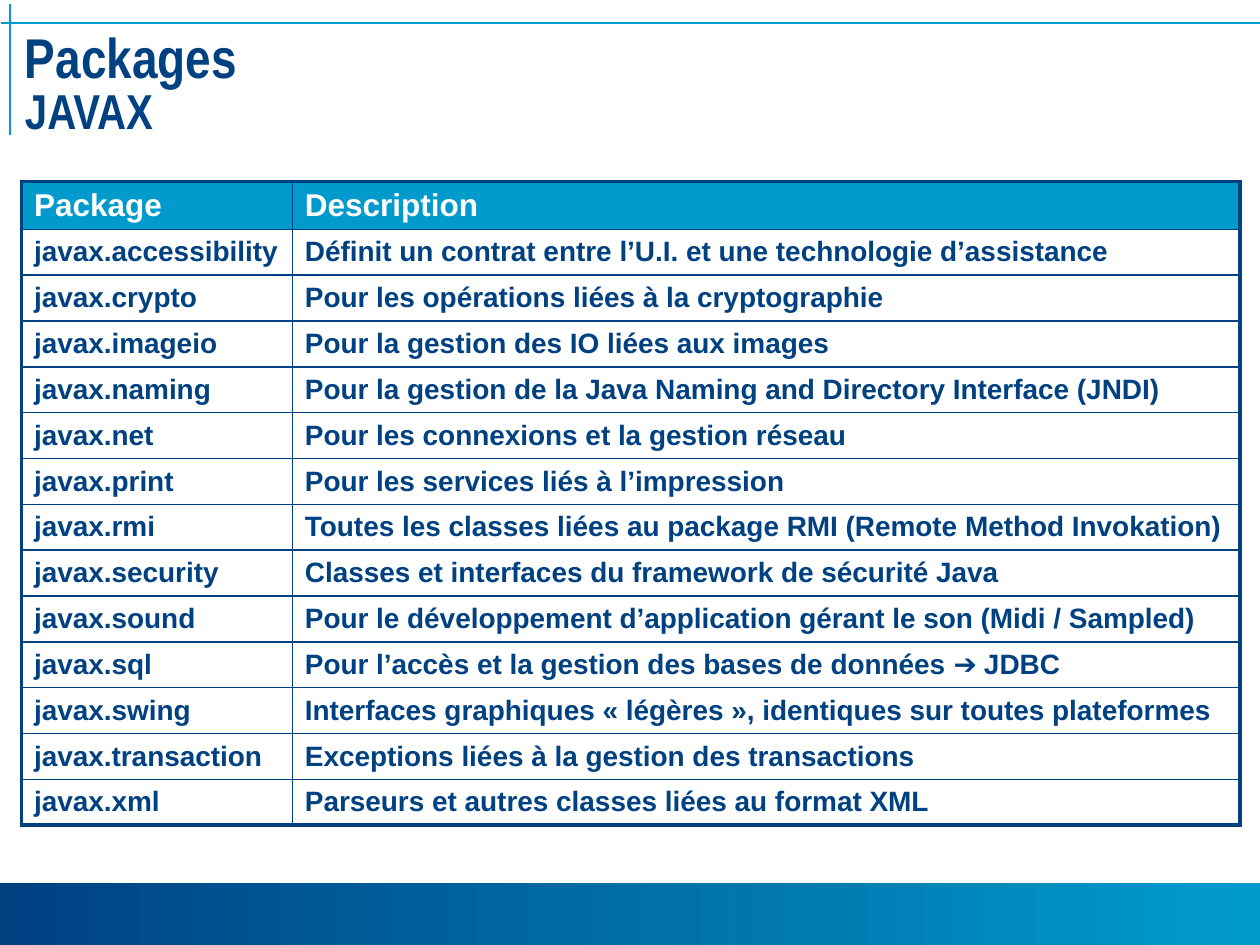
from lxml.etree import SubElement
from pptx import Presentation
from pptx.dml.color import RGBColor
from pptx.enum.shapes import MSO_CONNECTOR, MSO_SHAPE
from pptx.enum.text import MSO_ANCHOR
from pptx.oxml.ns import qn
from pptx.util import Inches, Pt

COLORS = {"navy": "004182", "cyan": "009BCC", "white": "FFFFFF"}

HEADER = ("Package", "Description")
PACKAGES = [
    ("javax.accessibility", "Définit un contrat entre l’U.I. et une technologie d’assistance"),
    ("javax.crypto", "Pour les opérations liées à la cryptographie"),
    ("javax.imageio", "Pour la gestion des IO liées aux images"),
    ("javax.naming", "Pour la gestion de la Java Naming and Directory Interface (JNDI)"),
    ("javax.net", "Pour les connexions et la gestion réseau"),
    ("javax.print", "Pour les services liés à l’impression"),
    ("javax.rmi", "Toutes les classes liées au package RMI (Remote Method Invokation)"),
    ("javax.security", "Classes et interfaces du framework de sécurité Java"),
    ("javax.sound", "Pour le développement d’application gérant le son (Midi / Sampled)"),
    ("javax.sql", "Pour l’accès et la gestion des bases de données ➔ JDBC"),
    ("javax.swing", "Interfaces graphiques « légères », identiques sur toutes plateformes"),
    ("javax.transaction", "Exceptions liées à la gestion des transactions"),
    ("javax.xml", "Parseurs et autres classes liées au format XML"),
]
COLUMN_WIDTHS = (2.15, 7.52)
TABLE_HEIGHT = 5.1
HEADER_HEIGHT = 0.37
OUTER_BORDER, INNER_BORDER = 2.25, 1


def color(name):
    return RGBColor.from_string(COLORS[name])


def format_run(run, font_name, size, color_name):
    run.font.name = font_name
    run.font.size = Pt(size)
    run.font.bold = True
    run.font.color.rgb = color(color_name)


def add_footer_band(slide):
    band = slide.shapes.add_shape(
        MSO_SHAPE.RECTANGLE, Inches(0), Inches(7.01), Inches(10), Inches(0.52))
    band.shadow.inherit = False
    band.line.fill.background()
    band.fill.gradient()
    band.fill.gradient_angle = 0
    for stop, name, position in zip(band.fill.gradient_stops, ("navy", "cyan"), (0, 1)):
        stop.color.rgb = color(name)
        stop.position = position


def add_rule(slide, *ends):
    rule = slide.shapes.add_connector(
        MSO_CONNECTOR.STRAIGHT, *(Inches(value) for value in ends))
    rule.line.color.rgb = color("cyan")
    rule.line.width = Pt(1)
    SubElement(rule._element.spPr, qn("a:effectLst"))


def add_title(slide):
    box = slide.shapes.add_textbox(Inches(0.1), Inches(0.22), Inches(9.83), Inches(1.01))
    text_frame = box.text_frame
    text_frame.word_wrap = True
    text_frame.margin_top = text_frame.margin_bottom = Inches(0.04)
    paragraph = text_frame.paragraphs[0]
    paragraph.text = "Packages\vJAVAX"
    paragraph.line_spacing = 0.85
    for run, size in zip(paragraph.runs, (32, 28)):
        format_run(run, "Arial Narrow", size, "navy")


def set_borders(cell, widths):
    """Draw the left, right, top and bottom borders, ahead of the cell fill."""
    properties = cell._tc.get_or_add_tcPr()
    for index, (side, width) in enumerate(zip("LRTB", widths)):
        border = SubElement(properties, qn(f"a:ln{side}"), w=str(Pt(width)))
        fill = SubElement(border, qn("a:solidFill"))
        SubElement(fill, qn("a:srgbClr"), val=COLORS["navy"])
        properties.insert(index, border)


def fill_cell(cell, text, is_header):
    cell.fill.solid()
    cell.fill.fore_color.rgb = color("cyan" if is_header else "white")
    cell.vertical_anchor = MSO_ANCHOR.MIDDLE
    cell.margin_top = cell.margin_bottom = Inches(0.04)
    cell.text_frame.text = text
    run = cell.text_frame.paragraphs[0].runs[0]
    format_run(run, "Arial", 18 if is_header else 16, "white" if is_header else "navy")


def add_package_table(slide):
    rows = [HEADER, *PACKAGES]
    last_row, last_column = len(rows) - 1, len(HEADER) - 1
    table = slide.shapes.add_table(
        len(rows), len(HEADER), Inches(0.17), Inches(1.44),
        Inches(sum(COLUMN_WIDTHS)), Inches(TABLE_HEIGHT)).table
    table.horz_banding = False
    for column, width in zip(table.columns, COLUMN_WIDTHS):
        column.width = Inches(width)
    body_height = (TABLE_HEIGHT - HEADER_HEIGHT) / len(PACKAGES)
    for row_index, texts in enumerate(rows):
        is_header = row_index == 0
        table.rows[row_index].height = Inches(HEADER_HEIGHT if is_header else body_height)
        for column_index, text in enumerate(texts):
            cell = table.cell(row_index, column_index)
            fill_cell(cell, text, is_header)
            on_edge = (column_index == 0, column_index == last_column,
                       is_header, row_index == last_row)
            set_borders(cell, [OUTER_BORDER if edge else INNER_BORDER for edge in on_edge])


def main():
    presentation = Presentation()
    presentation.slide_width = Inches(10)
    presentation.slide_height = Inches(7.5)
    slide = presentation.slides.add_slide(presentation.slide_layouts[6])

    # Frame: footer band and crossing rules
    add_footer_band(slide)
    add_rule(slide, 0.01, 0.18, 10, 0.18)
    add_rule(slide, 0.08, 0.03, 0.08, 1.07)

    # Content
    add_title(slide)
    add_package_table(slide)

    presentation.save("out.pptx")


if __name__ == "__main__":
    main()
